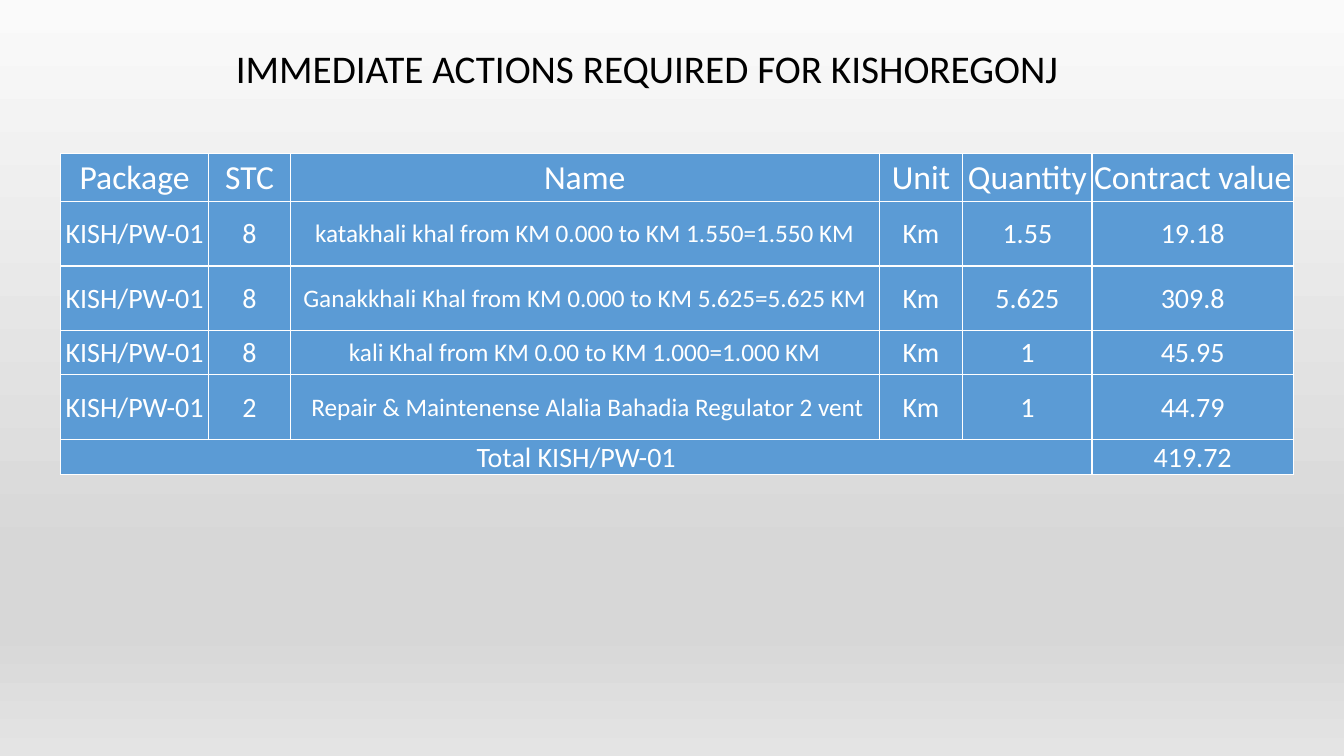
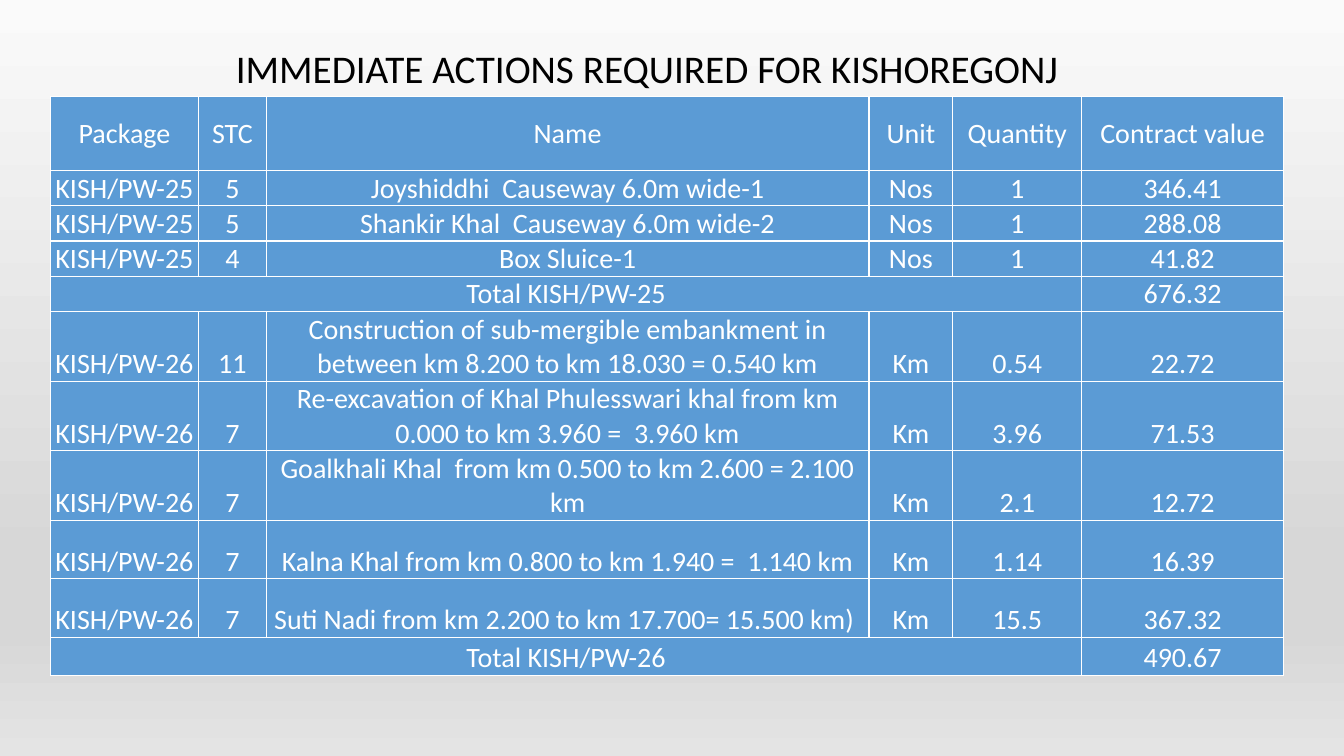
import copy
import dataclasses

import lxml.etree
import pptx
import pptx.dml.color
import pptx.enum.text
import pptx.oxml.ns
import pptx.util


@dataclasses.dataclass(frozen=True)
class Theme:
    font: str = "Calibri"
    title_color: str = "000000"
    cell_text: str = "FFFFFF"
    cell_fill: str = "5B9BD5"
    border: str = "FFFFFF"
    border_width: int = 1
    background: tuple = ((0, "FAFAFA"), (0.74, "D7D7D7"), (0.83, "D7D7D7"), (1, "E4E4E4"))
    title_size: int = 28
    large_size: int = 24
    body_size: int = 20
    small_size: int = 18


theme = Theme()
color = pptx.dml.color.RGBColor.from_string
qualified = pptx.oxml.ns.qn
anchors = pptx.enum.text.MSO_ANCHOR

TITLE = "IMMEDIATE ACTIONS REQUIRED FOR KISHOREGONJ"
HEADINGS = ("Package", "STC", "Name", "Unit", "Quantity", "Contract value")
NAME_COLUMN = 2
TABLE_WIDTH = 91.75  # percent of the slide's width

# Left, top and row heights are percentages of the slide; the STC column is one of the table.
# A package holds its name, its rows (height, then cells) and its total (height, value).
TABLES = [
    dict(
        left=4.5, top=20.27, stc_width=6.62, header_height=6.4,
        header_size=theme.large_size, name_size=theme.small_size, anchor=anchors.MIDDLE,
        packages=[
            ("KISH/PW-01", [
                (8.53, "8", "katakhali khal from KM 0.000 to KM 1.550=1.550 KM", "Km", "1.55", "19.18"),
                (8.53, "8", "Ganakkhali Khal from KM 0.000 to KM 5.625=5.625 KM", "Km", "5.625", "309.8"),
                (5.87, "8", "kali Khal from KM 0.00 to KM 1.000=1.000 KM", "Km", "1", "45.95"),
                (8.53, "2", " Repair & Maintenense Alalia Bahadia Regulator 2 vent", "Km", "1", "44.79"),
            ], (4.67, "419.72")),
        ],
    ),
    dict(
        left=3.75, top=12.8, stc_width=5.48, header_height=9.73,
        header_size=theme.body_size, name_size=theme.body_size, anchor=anchors.BOTTOM,
        packages=[
            ("KISH/PW-25", [
                (4.67, "5", "Joyshiddhi  Causeway 6.0m wide-1", "Nos", "1", "346.41"),
                (4.67, "5", "Shankir Khal  Causeway 6.0m wide-2", "Nos", "1", "288.08"),
                (4.67, "4", "Box Sluice-1", "Nos", "1", "41.82"),
            ], (4.67, "676.32")),
            ("KISH/PW-26", [
                (9.2, "11", "Construction of sub-mergible embankment in between km 8.200 to km 18.030 = 0.540 km",
                 "Km", "0.54", "22.72"),
                (9.2, "7", "Re-excavation of Khal Phulesswari khal from km 0.000 to km 3.960 =  3.960 km",
                 "Km", "3.96", "71.53"),
                (9.2, "7", "Goalkhali Khal  from km 0.500 to km 2.600 = 2.100 km", "Km", "2.1", "12.72"),
                (7.73, "7", "Kalna Khal from km 0.800 to km 1.940 =  1.140 km", "Km", "1.14", "16.39"),
                (7.73, "7", "Suti Nadi from km 2.200 to km 17.700= 15.500 km) ", "Km", "15.5", "367.32"),
            ], (5.07, "490.67")),
        ],
    ),
]


def set_text(text_frame, text, size, text_color):
    """Fill a frame with one centred paragraph in the theme font."""
    text_frame.text = text
    paragraph = text_frame.paragraphs[0]
    paragraph.alignment = pptx.enum.text.PP_ALIGN.CENTER
    for run in paragraph.runs:
        run.font.name = theme.font
        run.font.size = pptx.util.Pt(size)
        run.font.color.rgb = color(text_color)
    return paragraph


def style_cell(cell, anchor):
    """Give a cell its margins, borders and fill."""
    cell.vertical_anchor = anchor
    cell.margin_left = cell.margin_right = cell.margin_top = pptx.util.Inches(0.01)
    cell.margin_bottom = 0
    properties = cell._tc.get_or_add_tcPr()
    for side in ("a:lnL", "a:lnR", "a:lnT", "a:lnB"):
        line = lxml.etree.SubElement(properties, qualified(side), w=str(pptx.util.Pt(theme.border_width)))
        line_fill = lxml.etree.SubElement(line, qualified("a:solidFill"))
        lxml.etree.SubElement(line_fill, qualified("a:srgbClr"), val=theme.border)
    cell.fill.solid()
    cell.fill.fore_color.rgb = color(theme.cell_fill)


presentation = pptx.Presentation()
presentation.slide_width = pptx.util.Inches(13.33)
presentation.slide_height = pptx.util.Inches(7.5)
across = presentation.slide_width / 100
down = presentation.slide_height / 100

# Shared gradient background
master = presentation.slide_master
background_fill = master.background.fill
background_fill.gradient()
background_fill.gradient_angle = 270
stop_list = next(master.element.iter(qualified("a:gsLst")))
while len(stop_list) < len(theme.background):
    stop_list.append(copy.deepcopy(stop_list[0]))
for stop, (position, stop_color) in zip(background_fill.gradient_stops, theme.background):
    stop.position = position
    stop.color.rgb = color(stop_color)

# Shared title position
layout = presentation.slide_layouts.get_by_name("Title Only")
layout_title = next(shape for shape in layout.placeholders if shape.placeholder_format.idx == 0)
layout_title.left, layout_title.top = 0, int(-7.33 * down)
layout_title.width, layout_title.height = int(96.25 * across), int(20.13 * down)
layout_title.text_frame.vertical_anchor = anchors.BOTTOM
layout_title.text_frame.auto_size = pptx.enum.text.MSO_AUTO_SIZE.NONE

for content in TABLES:
    slide = presentation.slides.add_slide(layout)
    title = set_text(slide.shapes.title.text_frame, TITLE, theme.title_size, theme.title_color)
    title.line_spacing = 0.9

    # Rows: headings, then each package with its total
    rows = [(content["header_height"], HEADINGS)]
    total_rows = []
    for package, items, (total_height, total) in content["packages"]:
        rows += [(height, (package, *cells)) for height, *cells in items]
        total_rows.append(len(rows))
        rows.append((total_height, (f"Total {package}", "", "", "", "", total)))

    # Table grid: the name column takes what the others leave
    widths = [12.02, content["stc_width"], 0, 6.79, 10.47, 16.35]
    widths[NAME_COLUMN] = 100 - sum(widths)
    table_width = TABLE_WIDTH * across
    table_height = sum(height for height, cells in rows) * down
    table = slide.shapes.add_table(
        len(rows), len(widths), int(content["left"] * across), int(content["top"] * down),
        int(table_width), int(table_height)).table
    for column, width in zip(table.columns, widths):
        column.width = int(table_width * width / 100)

    # Cells
    for row_index, (height, texts) in enumerate(rows):
        table.rows[row_index].height = int(height * down)
        for column_index, text in enumerate(texts):
            if row_index == 0:
                size, anchor = content["header_size"], anchors.MIDDLE
            else:
                is_name = column_index == NAME_COLUMN and row_index not in total_rows
                size = content["name_size"] if is_name else theme.body_size
                anchor = content["anchor"]
            cell = table.cell(row_index, column_index)
            style_cell(cell, anchor)
            if text:
                set_text(cell.text_frame, text, size, theme.cell_text)
    for row_index in total_rows:
        table.cell(row_index, 0).merge(table.cell(row_index, len(widths) - 2))

presentation.save("out.pptx")
